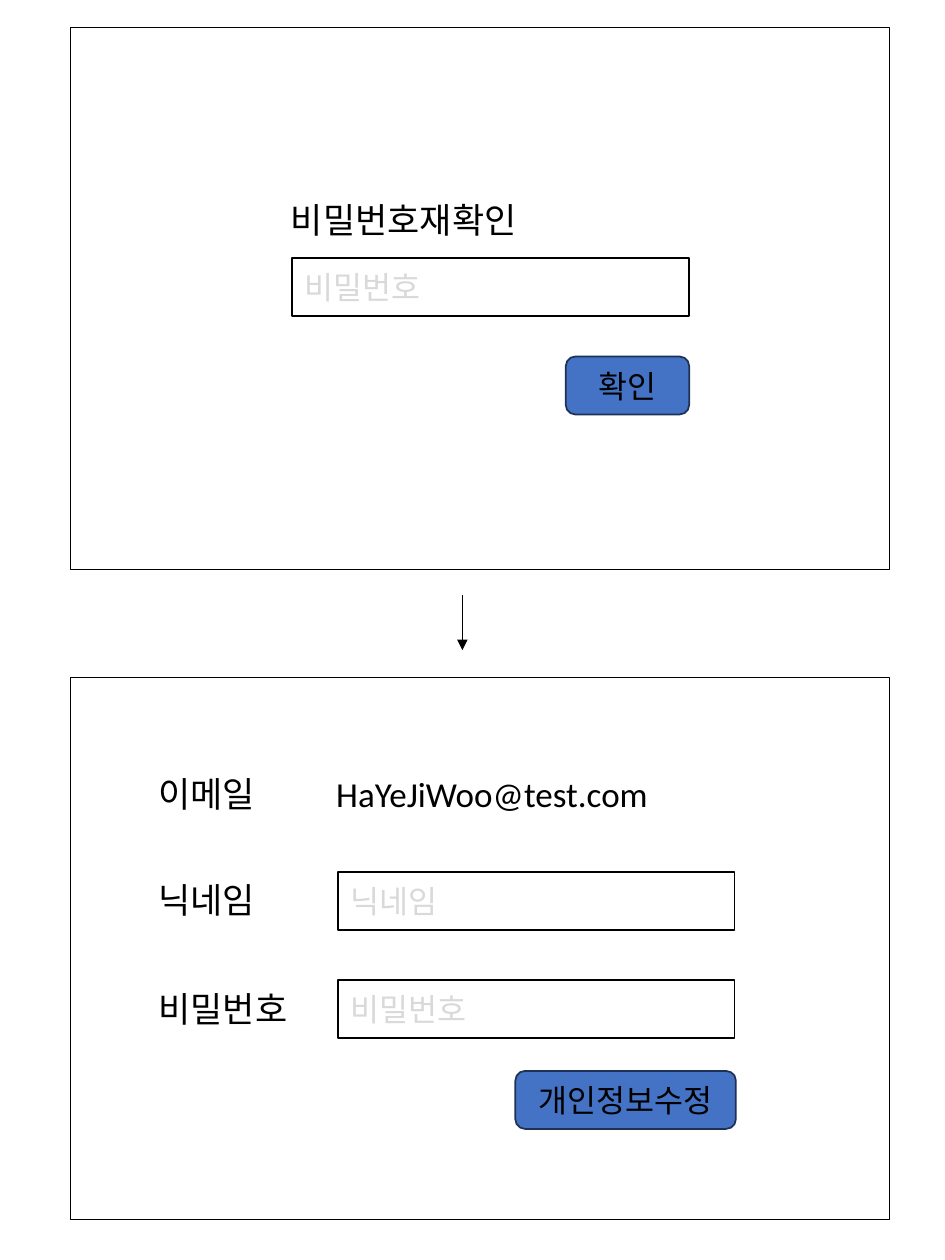
from dataclasses import dataclass

import pptx
import pptx.dml.color
import pptx.enum.shapes
import pptx.enum.text
import pptx.oxml.ns
import pptx.util
from lxml import etree
from pptx.util import Inches

COLORS = {
    "black": "000000",
    "white": "FFFFFF",
    "hint": "D9D9D9",
    "button": "4472C4",
    "button_edge": "1E3256",
}
FONT = "Calibri"
SCREEN_LEFT, SCREEN_WIDTH, SCREEN_HEIGHT = 0.56, 6.5, 4.3
CONTROL_HEIGHT, FIELD_WIDTH, LABEL_HEIGHT = 0.46, 3.15, 0.44

SHAPE = pptx.enum.shapes.MSO_SHAPE
ALIGN = pptx.enum.text.PP_ALIGN


@dataclass
class Label:
    text: str
    left: float
    top: float
    width: float


@dataclass
class Field:
    hint: str
    left: float
    top: float


@dataclass
class Button:
    text: str
    left: float
    top: float
    width: float


SCREEN_TOPS = [0.22, 5.38]
LABELS = [
    Label("비밀번호재확인", 2.21, 1.53, 2.36),
    Label("이메일", 1.16, 6.08, 1.05),
    Label("HaYeJiWoo@test.com", 2.57, 6.08, 3.27),
    Label("닉네임", 1.16, 6.92, 1.05),
    Label("비밀번호", 1.16, 7.79, 1.41),
]
FIELDS = [
    Field("비밀번호", 2.32, 2.05),
    Field("닉네임", 2.68, 6.92),
    Field("비밀번호", 2.68, 7.78),
]
BUTTONS = [
    Button("확인", 4.49, 2.83, 0.98),
    Button("개인정보수정", 4.09, 8.5, 1.75),
]


def rgb(name: str) -> pptx.dml.color.RGBColor:
    return pptx.dml.color.RGBColor.from_string(COLORS[name])


def write(shape, text: str, size: int, color: str, align=ALIGN.LEFT) -> None:
    frame = shape.text_frame
    frame.word_wrap = True
    frame.text = text
    paragraph = frame.paragraphs[0]
    paragraph.alignment = align
    font = paragraph.runs[0].font
    font.name = FONT
    font.size = pptx.util.Pt(size)
    font.color.rgb = rgb(color)


def add_box(slide, kind, left: float, top: float, width: float, height: float,
            fill: str | None, line: str, line_width: float):
    box = slide.shapes.add_shape(
        kind, Inches(left), Inches(top), Inches(width), Inches(height))
    box.shadow.inherit = False
    if fill is None:
        box.fill.background()
    else:
        box.fill.solid()
        box.fill.fore_color.rgb = rgb(fill)
    box.line.color.rgb = rgb(line)
    box.line.width = pptx.util.Pt(line_width)
    box.text_frame.vertical_anchor = pptx.enum.text.MSO_ANCHOR.MIDDLE
    return box


def add_screen(slide, top: float) -> None:
    add_box(slide, SHAPE.RECTANGLE, SCREEN_LEFT, top, SCREEN_WIDTH,
            SCREEN_HEIGHT, None, "black", 0.75)


def add_label(slide, label: Label) -> None:
    box = slide.shapes.add_textbox(
        Inches(label.left), Inches(label.top),
        Inches(label.width), Inches(LABEL_HEIGHT))
    write(box, label.text, 20, "black")
    box.text_frame.auto_size = pptx.enum.text.MSO_AUTO_SIZE.SHAPE_TO_FIT_TEXT


def add_field(slide, field: Field) -> None:
    box = add_box(slide, SHAPE.RECTANGLE, field.left, field.top, FIELD_WIDTH,
                  CONTROL_HEIGHT, "white", "black", 1)
    write(box, field.hint, 18, "hint")


def add_button(slide, button: Button) -> None:
    box = add_box(slide, SHAPE.ROUNDED_RECTANGLE, button.left, button.top,
                  button.width, CONTROL_HEIGHT, "button", "button_edge", 1)
    write(box, button.text, 18, "black", ALIGN.CENTER)


def add_down_arrow(slide, x: float, top: float, bottom: float) -> None:
    arrow = slide.shapes.add_connector(
        pptx.enum.shapes.MSO_CONNECTOR.STRAIGHT,
        Inches(x), Inches(top), Inches(x), Inches(bottom))
    arrow.line.color.rgb = rgb("black")
    arrow.line.width = pptx.util.Pt(0.5)
    # Arrowhead, and an empty effect list to drop the shadow
    qn = pptx.oxml.ns.qn
    properties = arrow._element.spPr
    etree.SubElement(properties.find(qn("a:ln")), qn("a:tailEnd"), type="triangle")
    etree.SubElement(properties, qn("a:effectLst"))


def main() -> None:
    presentation = pptx.Presentation()
    presentation.slide_width = Inches(7.5)
    presentation.slide_height = Inches(10)
    slide = presentation.slides.add_slide(presentation.slide_layouts[6])

    # Screen frames and the step between them
    for top in SCREEN_TOPS:
        add_screen(slide, top)
    add_down_arrow(slide, 3.67, 4.72, 5.16)

    # Form contents
    for label in LABELS:
        add_label(slide, label)
    for field in FIELDS:
        add_field(slide, field)
    for button in BUTTONS:
        add_button(slide, button)

    presentation.save("out.pptx")


if __name__ == "__main__":
    main()
